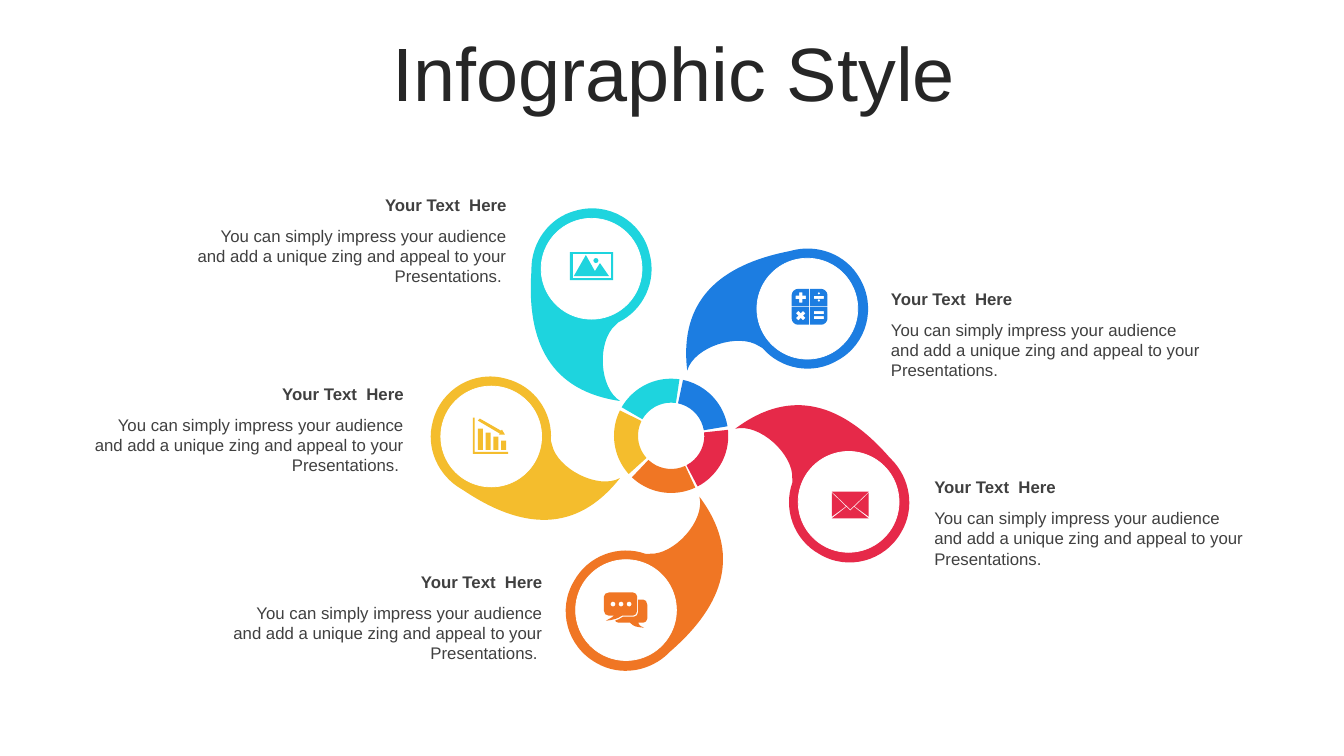
import math
from lxml import etree
from pptx import Presentation
from pptx import util as u
from pptx.dml.color import RGBColor
from pptx.enum import shapes, text
from pptx.oxml.ns import qn

Pt = u.Pt
CYAN = RGBColor(0x1E, 0xD4, 0xDE)
YELLOW = RGBColor(0xF4, 0xBD, 0x2D)
ORANGE = RGBColor(0xF0, 0x76, 0x24)
RED = RGBColor(0xE6, 0x29, 0x49)
BLUE = RGBColor(0x1C, 0x7D, 0xE1)
WHITE = RGBColor(0xFF, 0xFF, 0xFF)
TITLE_GREY = RGBColor(0x26, 0x26, 0x26)
TEXT_GREY = RGBColor(0x40, 0x40, 0x40)

HEADING = "Your Text  Here"
BODY = ("You can simply impress your audience and add a unique zing "
        "and appeal to your Presentations.")
RING_CENTER = (479.4, 311.3)
ICON_SCALE = 0.72

# Outline steps: two numbers make a line, six numbers make a cubic curve.
# The petal is drawn around the center of its disc.
PETAL = [(0.3, 43.3), (-23.6, 43.6, -43.1, 24.3, -42.6, 0.5),
         (-43, -20.4, -27.8, -38, -8.2, -41.7),
         (-7.3, -42.2, -6.5, -42.7, -5.6, -43.2),
         (9.9, -51, 17.2, -83.4, 4.9, -96.3),
         (51, -76.5, 58.8, -38.7, 42.1, 9.8), (41.7, 11.2),
         (36.9, 29.2, 20.4, 43.5, 0.3, 43.3)]
PETAL_MIDDLE = (3.7, -26.6)
BACK_BUBBLE = [(34, 7), (39, 7), (41, 7, 43, 9, 43, 12), (43, 26),
               (43, 28, 41, 30, 39, 30), (34, 30), (35, 32, 35, 33, 40, 35),
               (31, 34, 30, 34, 26, 30), (15, 30), (13, 30, 12, 29, 11, 28),
               (14, 27, 16, 26, 19, 24), (30, 24), (32, 24, 34, 22, 34, 19)]
FRONT_BUBBLE = [(5, 0), (29, 0), (31, 0, 33, 2, 33, 4), (33, 18),
                (33, 21, 31, 23, 29, 23), (18, 23), (13, 26, 11, 27, 2, 28),
                (7, 25, 8, 25, 10, 23), (5, 23), (2, 23, 0, 21, 0, 18),
                (0, 4), (0, 2, 2, 0, 5, 0)]
CALCULATOR_KEY = [(6, 0), (17.3, 0), (17.3, 17.3), (0, 17.3), (0, 6),
                  (0, 3, 3, 0, 6, 0)]


def pairs(step):
    return list(zip(step[::2], step[1::2]))


def transform(steps, change):
    """Apply change(x, y) to every point, control points included."""
    return [sum((change(x, y) for x, y in pairs(step)), ()) for step in steps]


def rotate(steps, degrees):
    cos, sin = math.cos(math.radians(degrees)), math.sin(math.radians(degrees))
    return transform(steps, lambda x, y: (x * cos - y * sin, x * sin + y * cos))


def place(steps, left, top, scale=1):
    return transform(steps, lambda x, y: (left + x * scale, top + y * scale))


def rectangle(left, top, width, height):
    right, bottom = left + width, top + height
    return [(left, top), (right, top), (right, bottom), (left, bottom)]


def circle(x, y, radius):
    quarter = [(radius, 0.55 * radius, 0.55 * radius, radius, 0, radius)]
    arcs = [rotate(quarter, 90 * turn)[0] for turn in range(4)]
    return place([(radius, 0)] + arcs, x, y)


def envelope_icon():
    return [[(22, 15), (36.6, 26.4), (0, 26.4), (14.6, 15), (18.3, 18.8)],
            [(36.6, 1), (36.6, 24.8), (22.7, 14.6)],
            [(0, 1), (13.9, 14.6), (0, 24.8)],
            [(0, 0), (36.6, 0), (18.3, 17.5)]]


def chart_icon():
    bars = [rectangle(5 + 7.7 * i, 11 + 4 * i, 5, 21 - 4 * i) for i in range(4)]
    arrow = [(7, 1), (28, 13), (29, 12), (32, 17), (26, 17), (27, 16), (5, 3)]
    axes = [(0, 0), (2, 0), (2, 34), (35, 34), (35, 36), (0, 36)]
    return bars + [arrow, axes]


def calculator_icon():
    size = 35.5
    keys = [transform(CALCULATOR_KEY, lambda x, y: (size - x if right else x,
                                                    size - y if low else y))
            for right in (0, 1) for low in (0, 1)]
    plus = [point for turn in range(4)
            for point in rotate([(-1.7, -5), (1.7, -5), (1.7, -1.7)], 90 * turn)]
    signs = [place(plus, 9, 8.5), place(rotate(plus, 45), 9, 26.5)]
    bars = [rectangle(22, top, 10, 3) for top in (7, 22, 27)]
    return keys + signs + bars + [circle(27, y, 1.4) for y in (4.5, 11.5)]


def chat_icon():
    return [circle(x, 11.5, 2.5) for x in (9, 17, 25)] + [BACK_BUBBLE, FRONT_BUBBLE]


def landscape_icon():
    return [circle(26, 8.5, 2.5),
            [(16, 3), (25, 19), (30, 11), (39, 24), (4, 24)],
            rectangle(3, 2, 38, 24), rectangle(0, 0, 43, 28)]


def curve_points(start, step):
    """Points along one step, used to measure an outline."""
    if len(step) == 2:
        return [step]
    controls = [start[-2:]] + pairs(step)
    return [tuple(sum(math.comb(3, k) * t ** k * (1 - t) ** (3 - k) * c[axis]
                      for k, c in enumerate(controls)) for axis in (0, 1))
            for t in (i / 20 for i in range(1, 21))]


def paint(shape, color, line=None):
    shape.shadow.inherit = False
    shape.fill.solid()
    shape.fill.fore_color.rgb = color
    if line is None:
        shape.line.fill.background()
    else:
        shape.line.color.rgb = line
        shape.line.width = Pt(0.5)


def add_outline(slide, contours, color):
    """Draw closed contours as one shape; inner contours become holes."""
    xs, ys = zip(*(point for contour in contours
                   for start, step in zip(contour[:1] + contour, contour)
                   for point in curve_points(start, step)))
    left, top = min(xs), min(ys)
    corners = [(Pt(x), Pt(y)) for x, y in
               rectangle(left, top, max(xs) - left, max(ys) - top)]
    builder = slide.shapes.build_freeform(*corners[0], scale=1.0)
    builder.add_line_segments(corners[1:], close=True)
    shape = builder.convert_to_shape()
    outline = next(shape.element.iter(qn("a:path")))
    for child in list(outline):
        outline.remove(child)
    for contour in contours:
        for i, step in enumerate(contour):
            tag = "cubicBezTo" if len(step) == 6 else "lnTo" if i else "moveTo"
            command = etree.SubElement(outline, qn("a:" + tag))
            for x, y in pairs(step):
                etree.SubElement(command, qn("a:pt"),
                                 x=str(Pt(x - left)), y=str(Pt(y - top)))
        etree.SubElement(outline, qn("a:close"))
    paint(shape, color)
    return shape


def add_petal(slide, center, rotation, color):
    """Turn the petal so that its round end stays around center."""
    turned = rotate([PETAL_MIDDLE], rotation)[0]
    origin = [c + t - m for c, t, m in zip(center, turned, PETAL_MIDDLE)]
    add_outline(slide, [place(PETAL, *origin)], color).rotation = rotation


def add_round(slide, kind, center, diameter, color, line=None):
    left, top = (c - diameter / 2 for c in center)
    shape = slide.shapes.add_shape(kind, Pt(left), Pt(top), Pt(diameter), Pt(diameter))
    paint(shape, color, line)
    return shape


def add_ring_segment(slide, rotation, color):
    arc = add_round(slide, shapes.MSO_SHAPE.BLOCK_ARC, RING_CENTER, 81.6, color)
    for i, value in enumerate((108, 149.02, 0.21)):
        arc.adjustments[i] = value
    arc.rotation = rotation


def add_text(slide, words, box, align, color=TEXT_GREY, size=12, bold=False):
    frame = slide.shapes.add_textbox(*map(Pt, box)).text_frame
    frame.word_wrap = True
    paragraph = frame.paragraphs[0]
    paragraph.alignment = align
    run = paragraph.add_run()
    run.text = words
    run.font.color.rgb = color
    for name, value in {"name": "Arial", "size": Pt(size), "bold": bold}.items():
        setattr(run.font, name, value)
    return frame


def add_caption(slide, left, top, align):
    body = BODY + " " if align == text.PP_ALIGN.RIGHT else BODY
    for words, y, height, bold in ((HEADING, top, 21.6, True), (body, top + 22, 51, False)):
        frame = add_text(slide, words, (left, y, 237.6, height), align, bold=bold)
        frame.auto_size = text.MSO_AUTO_SIZE.SHAPE_TO_FIT_TEXT


def main():
    presentation = Presentation()
    presentation.slide_width, presentation.slide_height = Pt(960), Pt(540)
    slide = presentation.slides.add_slide(presentation.slide_layouts[6])
    right, left = text.PP_ALIGN.RIGHT, text.PP_ALIGN.LEFT
    oval = shapes.MSO_SHAPE.OVAL

    title = add_text(slide, "Infographic Style", (25.5, 26.6, 911.5, 56.9),
                     text.PP_ALIGN.CENTER, TITLE_GREY, 54)
    title.vertical_anchor = text.MSO_ANCHOR.MIDDLE
    title.paragraphs[0].line_spacing = 0.9

    # color, ring rotation, petal rotation, disc center, icon, icon corner, caption
    petals = [
        (BLUE, 102, 240, (576.7, 220.5), calculator_icon, (565.5, 206.4), (629.3, 202.8, left)),
        (CYAN, 30, 165, (422.6, 192), landscape_icon, (407, 180), (131.4, 135.7, right)),
        (YELLOW, 318, 105, (350.9, 311.8), chart_icon, (337.7, 298.3), (58, 270.4, right)),
        (ORANGE, 245, 30, (447.2, 435.8), chat_icon, (431.4, 423.2), (157, 404.8, right)),
        (RED, 174, 300, (606.2, 358.5), envelope_icon, (594.2, 351.2), (660.3, 337.3, left)),
    ]
    halo = add_round(slide, oval, RING_CENTER, 94.4, WHITE)
    halo_color = next(halo.element.spPr.iter(qn("a:srgbClr")))
    etree.SubElement(halo_color, qn("a:alpha"), val="50000")
    for color, ring_turn, petal_turn, center, icon, corner, caption in petals:
        add_ring_segment(slide, ring_turn, color)
        add_petal(slide, center, petal_turn, color)
        add_round(slide, oval, center, 72, WHITE, WHITE)
        add_outline(slide, [place(c, *corner, ICON_SCALE) for c in icon()], color)
        add_caption(slide, *caption)
    presentation.save("out.pptx")


if __name__ == "__main__":
    main()
